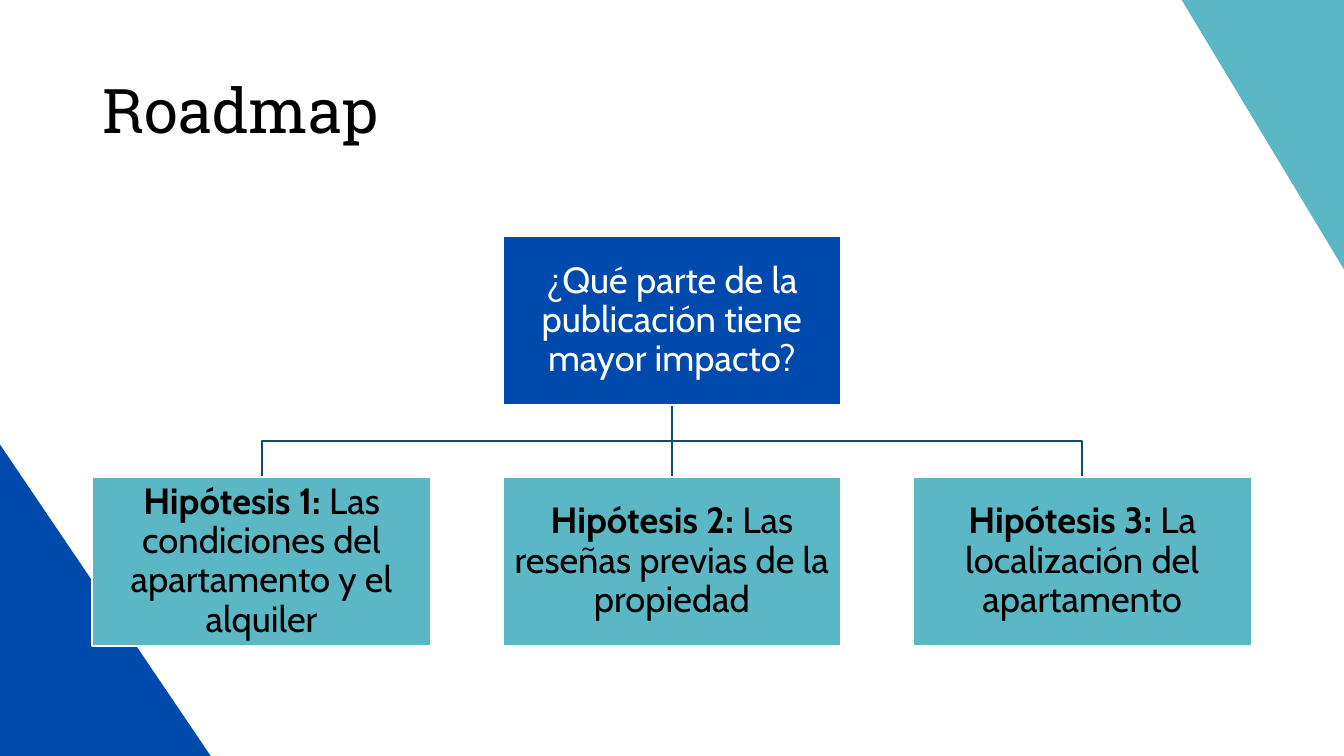
from lxml.etree import SubElement
from pptx import Presentation
from pptx.dml.color import RGBColor
from pptx.enum.shapes import MSO_CONNECTOR, MSO_SHAPE
from pptx.enum.text import MSO_ANCHOR, MSO_AUTO_SIZE, PP_ALIGN
from pptx.oxml.ns import qn
from pptx.util import Inches, Pt

COLORS = {"blue": "004AAD", "teal": "5BB7C3", "line": "114D68",
          "white": "FFFFFF", "black": "000000"}
WIDTH, HEIGHT = 13.33, 7.5
BOX_W, BOX_H, GAP = 3.36, 1.68, 0.71
LEFT = (WIDTH - 3 * BOX_W - 2 * GAP) / 2
TOP = 2.34

QUESTION = "¿Qué parte de la publicación tiene mayor impacto?"
HYPOTHESES = [
    ("Hipótesis 1: ", "Las condiciones del apartamento y el alquiler"),
    ("Hipótesis 2: ", "Las reseñas previas de la propiedad"),
    ("Hipótesis 3: ", "La localización del apartamento"),
]


def rgb(name):
    return RGBColor.from_string(COLORS[name])


def cell(col, row):
    """Return the left and top of a chart cell, in inches."""
    return LEFT + col * (BOX_W + GAP), TOP + row * (BOX_H + GAP)


class RoadmapSlide:
    def __init__(self, prs):
        self.s = prs.slides.add_slide(prs.slide_layouts[5])
        self.heading_font, self.body_font = "Roboto Slab", "Cabin"
        self.line_width = Pt(1.5)

    def stroke(self, sp, color):
        sp.line.color.rgb = rgb(color)
        sp.line.width = self.line_width

    def add_text(self, tf, runs, font, size, color, align):
        """Fill a text frame with one paragraph of (text, bold) runs."""
        tf.word_wrap = True
        tf.auto_size = MSO_AUTO_SIZE.NONE
        tf.vertical_anchor = MSO_ANCHOR.MIDDLE
        p = tf.paragraphs[0]
        p.alignment, p.line_spacing = align, 0.9
        for text, bold in runs:
            r = p.add_run()
            r.text = text
            r.font.name, r.font.size, r.font.bold = font, Pt(size), bold
            r.font.color.rgb = rgb(color)

    def title(self, text, x, y, w, h):
        sp = self.s.shapes.title
        sp.left, sp.top, sp.width, sp.height = map(Inches, (x, y, w, h))
        self.add_text(sp.text_frame, [(text, False)], self.heading_font, 44,
                      "black", PP_ALIGN.LEFT)

    def shape(self, kind, x, y, w, h, fill):
        sp = self.s.shapes.add_shape(kind, *map(Inches, (x, y, w, h)))
        sp.shadow.inherit = False
        sp.fill.solid()
        sp.fill.fore_color.rgb = rgb(fill)
        sp.line.fill.background()
        return sp

    def corner(self, x, y, w, h, fill, rotation=0):
        sp = self.shape(MSO_SHAPE.RIGHT_TRIANGLE, x, y, w, h, fill)
        sp.rotation = rotation

    def box(self, col, row, runs, fill, color):
        sp = self.shape(MSO_SHAPE.RECTANGLE, *cell(col, row), BOX_W, BOX_H, fill)
        self.stroke(sp, "white")
        tf = sp.text_frame
        tf.margin_left = tf.margin_right = Inches(0.02)
        tf.margin_top = tf.margin_bottom = Inches(0.02)
        self.add_text(tf, runs, self.body_font, 26, color, PP_ALIGN.CENTER)
        return sp

    def elbow(self, col):
        """Draw the bent branch from the question down to a hypothesis column."""
        x, bottom = cell(col, 1)
        x, start, top = x + BOX_W / 2, WIDTH / 2, bottom - GAP
        middle = top + GAP / 2
        fb = self.s.shapes.build_freeform(Inches(start), Inches(top))
        points = [(start, middle), (x, middle), (x, bottom)]
        fb.add_line_segments([(Inches(a), Inches(b)) for a, b in points],
                             close=False)
        sp = fb.convert_to_shape()
        sp.shadow.inherit = False
        sp.fill.background()
        self.stroke(sp, "line")

    def straight(self):
        c = self.s.shapes.add_connector(MSO_CONNECTOR.STRAIGHT, 0, 0, 0, 0)
        self.stroke(c, "line")
        SubElement(c._element.spPr, qn("a:effectLst"))
        return c


def main():
    prs = Presentation()
    prs.slide_width, prs.slide_height = Inches(WIDTH), Inches(HEIGHT)
    slide = RoadmapSlide(prs)
    slide.corner(0, 4.41, 2.09, 3.09, "blue")
    slide.corner(11.72, 0, 1.62, 2.69, "teal", rotation=180)
    slide.title("Roadmap", LEFT, 0.4, 11.5, 1.45)

    # Branches come before the boxes so the white borders cover their ends.
    slide.elbow(2)
    trunk = slide.straight()
    slide.elbow(0)

    question = slide.box(1, 0, [(QUESTION, False)], "blue", "white")
    boxes = [slide.box(col, 1, [(label, True), (text, False)], "teal", "black")
             for col, (label, text) in enumerate(HYPOTHESES)]
    trunk.begin_connect(question, 2)
    trunk.end_connect(boxes[1], 0)
    prs.save("out.pptx")


if __name__ == "__main__":
    main()
